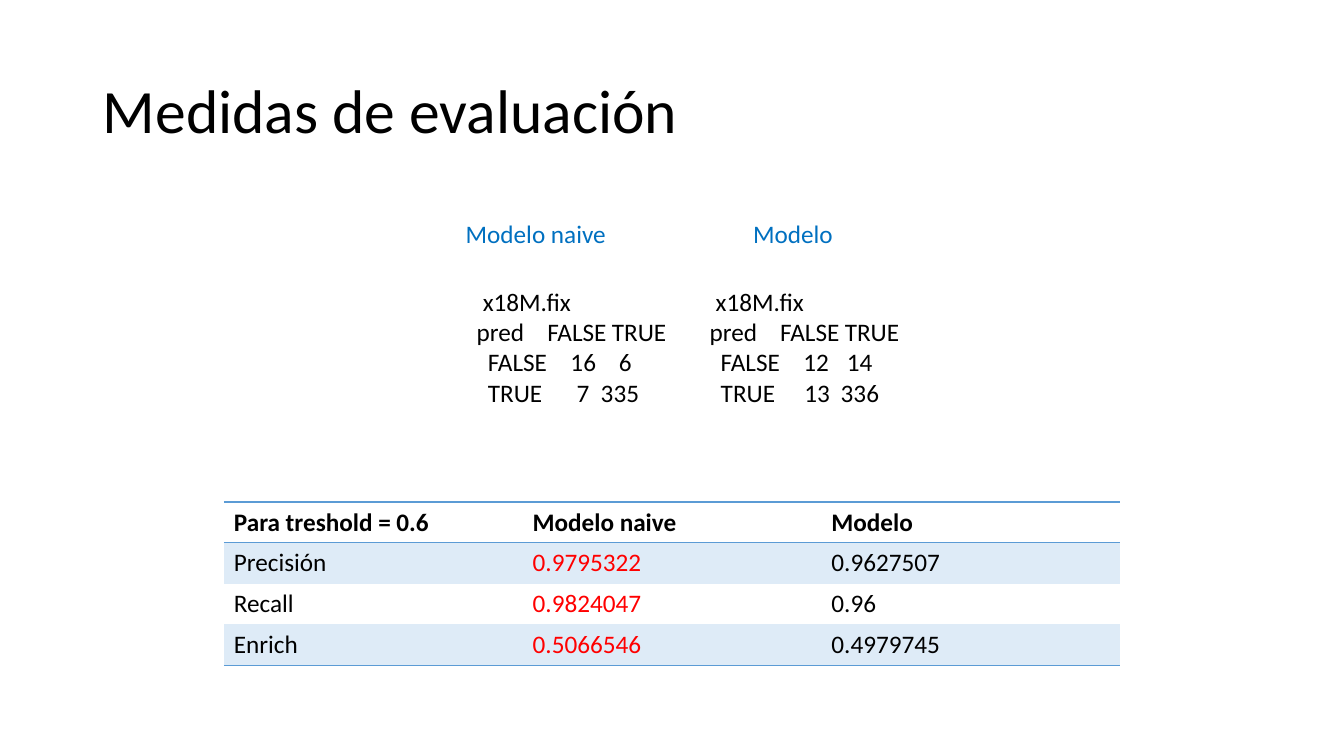
from dataclasses import dataclass

from lxml import etree
from pptx import Presentation
from pptx.dml.color import RGBColor
from pptx.enum.text import MSO_ANCHOR, MSO_AUTO_SIZE, PP_ALIGN
from pptx.oxml.ns import qn
from pptx.util import Inches, Pt

MIDDLE = MSO_ANCHOR.MIDDLE
LEFT = PP_ALIGN.LEFT
NO_AUTOFIT = MSO_AUTO_SIZE.NONE
TITLE_ONLY = 5


@dataclass(frozen=True)
class Theme:
    font: str = "Calibri"
    title_size: int = 44
    body_size: int = 18
    text: str = "000000"
    caption: str = "0070C0"
    best: str = "FF0000"
    rule: str = "5B9BD5"
    band: str = "DEEBF7"


THEME = Theme()

# Tab positions, in inches, for each line of a confusion matrix
NAIVE_MATRIX = [
    ("\tx18M.fix", [0.06]),
    ("pred\tFALSE\tTRUE", [0.7, 1.34]),
    ("\tFALSE\t16\t6", [0.11, 0.93, 1.41]),
    ("\tTRUE\t7\t335", [0.11, 0.99, 1.23]),
]
MODEL_MATRIX = NAIVE_MATRIX[:2] + [
    ("\tFALSE\t12\t14", [0.11, 0.93, 1.36]),
    ("\tTRUE\t13\t336", [0.11, 0.94, 1.3]),
]
MEASURES = [
    ("Para treshold = 0.6", "Modelo naive", "Modelo"),
    ("Precisión", "0.9795322", "0.9627507"),
    ("Recall", "0.9824047", "0.96"),
    ("Enrich", "0.5066546", "0.4979745"),
]


def add_run(p, text, size=THEME.body_size, color=THEME.text, bold=False):
    r = p.add_run()
    r.text = text
    r.font.name = THEME.font
    r.font.size = Pt(size)
    r.font.bold = bold
    r.font.color.rgb = RGBColor.from_string(color)


def place(sp, left, top, width, height):
    sp.left, sp.top = Inches(left), Inches(top)
    sp.width, sp.height = Inches(width), Inches(height)


def add_title(s, text):
    sp = s.shapes.title
    place(sp, 0.92, 0.4, 11.5, 1.45)
    tf = sp.text_frame
    tf.auto_size = NO_AUTOFIT
    tf.vertical_anchor = MIDDLE
    p = tf.paragraphs[0]
    p.alignment = LEFT
    p.line_spacing = 0.9
    add_run(p, text, THEME.title_size)


def add_text_frame(shapes, left, top, width, height):
    sp = shapes.add_textbox(*map(Inches, (left, top, width, height)))
    sp.text_frame.word_wrap = True
    return sp.text_frame


def add_caption(shapes, text, left, width):
    tf = add_text_frame(shapes, left, 2.12, width, 0.4)
    add_run(tf.paragraphs[0], text, color=THEME.caption)


def set_tabs(p, stops):
    tabs = etree.SubElement(p._p.get_or_add_pPr(), qn("a:tabLst"))
    for stop in stops:
        etree.SubElement(tabs, qn("a:tab"), pos=str(Inches(stop)), algn="l")


def add_matrix(s, lines, left, width):
    tf = add_text_frame(s.shapes, left, 2.79, width, 1.31)
    for i, (text, stops) in enumerate(lines):
        p = tf.add_paragraph() if i else tf.paragraphs[0]
        set_tabs(p, stops)
        add_run(p, text)


def set_borders(cell, top, bottom):
    tc_pr = cell._tc.get_or_add_tcPr()
    sides = {"lnL": False, "lnR": False, "lnT": top, "lnB": bottom}
    for side, shown in sides.items():
        ln = etree.SubElement(tc_pr, qn("a:" + side), w=str(Pt(1)))
        if shown:
            fill = etree.SubElement(ln, qn("a:solidFill"))
            etree.SubElement(fill, qn("a:srgbClr"), val=THEME.rule)
        else:
            etree.SubElement(ln, qn("a:noFill"))


def add_measures_table(s, rows):
    frame = s.shapes.add_table(len(rows), len(rows[0]), Inches(2.22),
                               Inches(4.98), Inches(8.89), Inches(1.62))
    table = frame.table
    table.first_row = table.horz_banding = False
    last = len(rows) - 1
    for i, row in enumerate(rows):
        for j, text in enumerate(row):
            cell = table.cell(i, j)
            # Rules above and below the header, and below the last row
            set_borders(cell, top=i in (0, 1), bottom=i in (0, last))
            if i % 2:
                cell.fill.solid()
                cell.fill.fore_color.rgb = RGBColor.from_string(THEME.band)
            else:
                cell.fill.background()
            color = THEME.best if i and j == 1 else THEME.text
            add_run(cell.text_frame.paragraphs[0], text, color=color,
                    bold=i == 0)


def main():
    prs = Presentation()
    prs.slide_width, prs.slide_height = Inches(13.33), Inches(7.5)
    s = prs.slides.add_slide(prs.slide_layouts[TITLE_ONLY])
    add_title(s, "Medidas de evaluación")

    # Model captions
    captions = s.shapes.add_group_shape().shapes
    add_caption(captions, "Modelo", 7.37, 1.05)
    add_caption(captions, "Modelo naive", 4.52, 2.38)

    # Measures and confusion matrices
    add_measures_table(s, MEASURES)
    add_matrix(s, NAIVE_MATRIX, 4.63, 2.15)
    add_matrix(s, MODEL_MATRIX, 6.94, 2.25)
    prs.save("out.pptx")


main()
